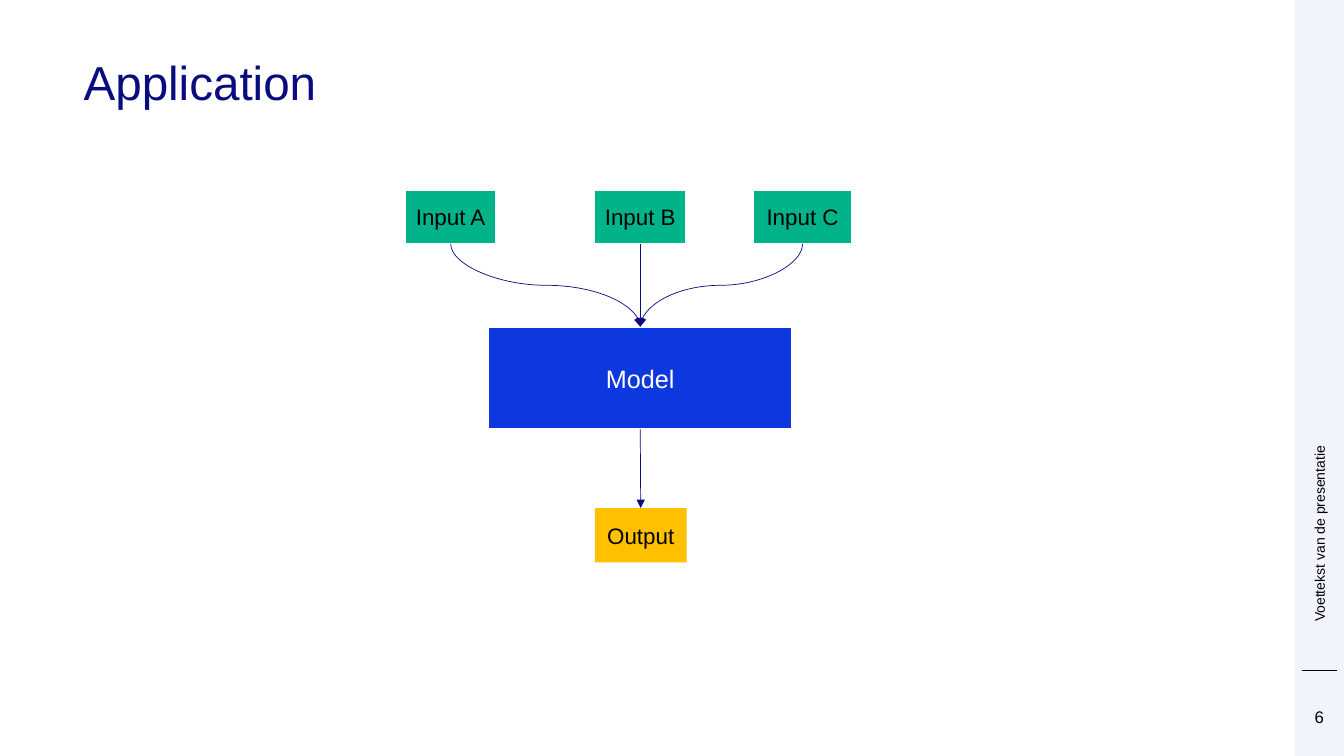
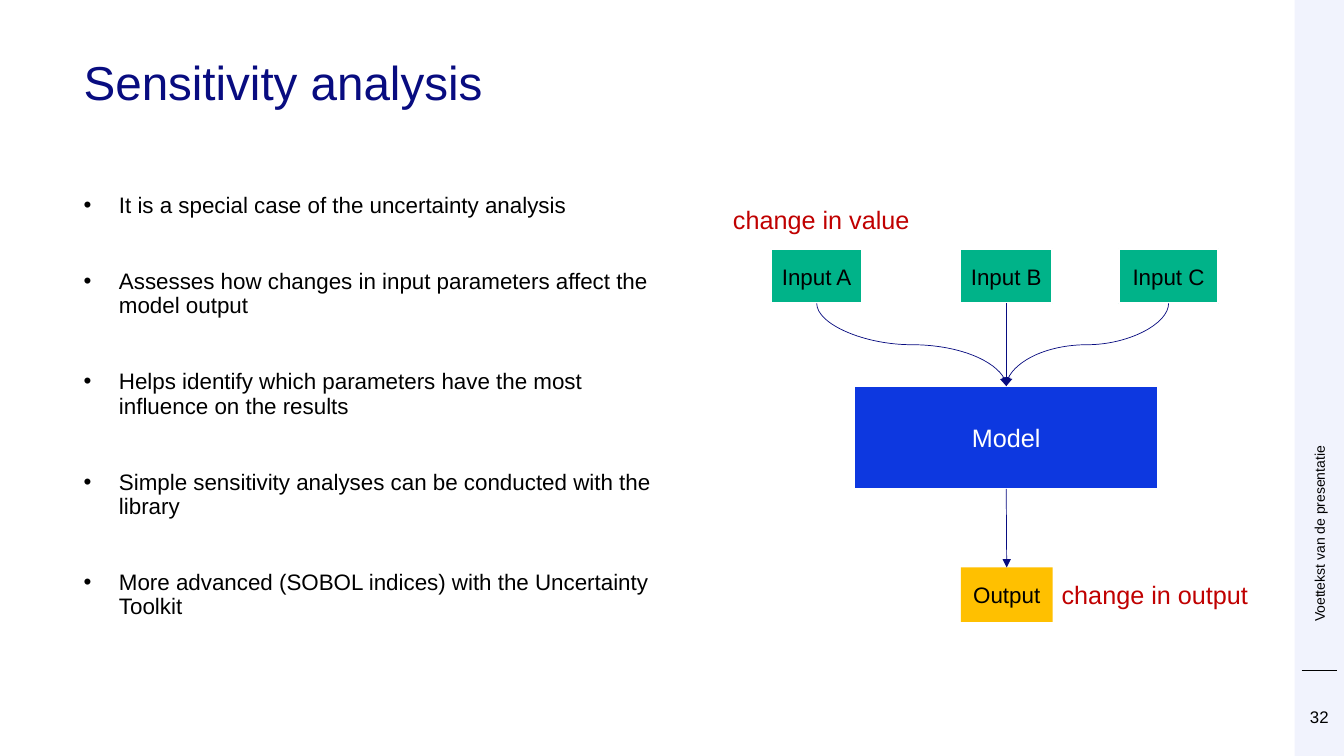
"""Build two slides on a model, its inputs and its sensitivity."""
from dataclasses import dataclass

from lxml import etree
from pptx import Presentation
from pptx.dml.color import RGBColor
from pptx.enum import shapes, text
from pptx.oxml import ns
from pptx.util import Inches, Pt


@dataclass(frozen=True)
class Theme:
    """Colours, font and type sizes of the deck."""
    font: str = "Arial"
    navy: str = "080C80"
    blue: str = "0D38E0"
    green: str = "00B389"
    gold: str = "FFC000"
    red: str = "C00000"
    pale: str = "F1F3FD"
    black: str = "000000"
    white: str = "FFFFFF"
    head: int = 34
    large: int = 18
    body: int = 16
    page: int = 12
    foot: int = 10
    hair: float = 0.5
    edge: float = 1.5


T = Theme()
LEFT, MID = text.PP_ALIGN.LEFT, text.PP_ALIGN.CENTER
TOP, CORE = text.MSO_ANCHOR.TOP, text.MSO_ANCHOR.MIDDLE
FOOT = "Voettekst van de presentatie"
INPUTS = (("Input A", -1.88, 0.91), ("Input B", 0, 0.91), ("Input C", 1.61, 0.99))
POINTS = (
    "It is a special case of the uncertainty analysis",
    "Assesses how changes in input parameters affect the model output",
    "Helps identify which parameters have the most influence on the results",
    "Simple sensitivity analyses can be conducted with the library",
    "More advanced (SOBOL indices) with the Uncertainty Toolkit",
)


def paint(fill, tint):
    """Give a fill one solid colour."""
    fill.solid()
    fill.fore_color.rgb = RGBColor.from_string(tint)


def fit(shape, anchor):
    """Set up a text frame without insets and return it."""
    frame = shape.text_frame
    frame.word_wrap = True
    frame.vertical_anchor = anchor
    frame.margin_left = frame.margin_right = 0
    frame.margin_top = frame.margin_bottom = 0
    return frame


def write(para, words, size, tint, align=LEFT):
    """Add one styled run to a paragraph."""
    para.alignment = align
    run = para.add_run()
    run.text = words
    run.font.name = T.font
    run.font.size = Pt(size)
    run.font.color.rgb = RGBColor.from_string(tint)


def label(slide, spot, words, size, tint, align=LEFT, anchor=TOP):
    """Add a text box with one paragraph and return its frame."""
    frame = fit(slide.shapes.add_textbox(*map(Inches, spot)), anchor)
    write(frame.paragraphs[0], words, size, tint, align)
    return frame


def block(slide, spot, fill, edge=None):
    """Add a filled rectangle, with an edge if a colour is given."""
    shape = slide.shapes.add_shape(shapes.MSO_SHAPE.RECTANGLE, *map(Inches, spot))
    shape.shadow.inherit = False
    paint(shape.fill, fill)
    if edge:
        paint(shape.line.fill, edge)
        shape.line.width = Pt(T.edge)
    else:
        shape.line.fill.background()
    return shape


def node(slide, spot, words, fill, size, tint, edge=None):
    """Add a rectangle with a centred caption."""
    shape = block(slide, spot, fill, edge)
    write(fit(shape, CORE).paragraphs[0], words, size, tint, MID)
    return shape


def line(slide, kind, ends, tint):
    """Add a thin connector without shadow."""
    link = slide.shapes.add_connector(kind, *map(Inches, ends))
    paint(link.line.fill, tint)
    link.line.width = Pt(T.hair)
    etree.SubElement(link._element.spPr, ns.qn("a:effectLst"))
    return link


def bend(link, start, end):
    """Turn a curved connector so that it leaves and arrives upright."""
    x1, x2 = (box.left + box.width // 2 for box in (start, end))
    y1, y2 = start.top + start.height, end.top
    link.width, link.height = y2 - y1, abs(x2 - x1)
    link.left = (x1 + x2 - link.width) // 2
    link.top = (y1 + y2 - link.height) // 2
    right = x2 > x1
    form = link._element.spPr.find(ns.qn("a:xfrm"))
    form.set("rot", str((270 if right else 90) * 60000))
    form.set("flipH", "1" if right else "0")
    form.set("flipV", "0")


def arrow(slide, start, end, curve=False):
    """Join the bottom of one box to the top of another."""
    kinds = shapes.MSO_CONNECTOR
    link = line(slide, kinds.CURVE if curve else kinds.STRAIGHT, (0, 0, 1, 1), T.navy)
    link.begin_connect(start, 2)
    link.end_connect(end, 0)
    if curve:
        bend(link, start, end)
    tail = etree.SubElement(link.line._get_or_add_ln(), ns.qn("a:tailEnd"))
    tail.set("type", "triangle")


def chart(slide, mid, top):
    """Draw inputs, model and output around a vertical axis."""
    model = node(slide, (mid - 1.51, top + 1.36, 3.02, 1.02), "Model",
                 T.blue, T.large, T.white, T.white)
    for name, shift, wide in INPUTS:
        box = node(slide, (mid + shift - wide / 2, top, wide, 0.54), name,
                   T.green, T.body, T.black, T.white)
        arrow(slide, box, model, curve=shift != 0)
    out = node(slide, (mid - 0.45, top + 3.16, 0.91, 0.54), "Output",
               T.gold, T.body, T.black)
    arrow(slide, model, out)


def bullets(slide, spot, items):
    """Add a bulleted list with wide gaps."""
    frame = fit(slide.shapes.add_textbox(*map(Inches, spot)), TOP)
    for rank, item in enumerate(items):
        para = frame.add_paragraph() if rank else frame.paragraphs[0]
        para.line_spacing = 0.9
        para.space_before = Pt(37 if rank else 0)
        write(para, item, T.body, T.black)
        props = para._p.get_or_add_pPr()
        props.set("marL", str(Inches(0.35)))
        props.set("indent", str(-Inches(0.35)))
        etree.SubElement(props, ns.qn("a:buFont")).set("typeface", T.font)
        etree.SubElement(props, ns.qn("a:buChar")).set("char", "•")


def page(deck, title, count):
    """Add a slide with title, side band, footer and number."""
    slide = deck.slides.add_slide(deck.slide_layouts[6])
    paint(slide.background.fill, T.white)
    block(slide, (12.84, 0, 0.49, 7.5), T.pale)
    line(slide, shapes.MSO_CONNECTOR.STRAIGHT, (12.91, 6.65, 13.26, 6.65), T.black)
    head = label(slide, (0.83, 0.59, 11.5, 1.02), title, T.head, T.navy)
    head.paragraphs[0].line_spacing = 0.9
    foot = label(slide, (13, 0.59, 0.17, 5.58), FOOT, T.foot, T.black, anchor=CORE)
    foot._txBody.bodyPr.set("vert", "vert270")
    label(slide, (12.84, 7.01, 0.49, 0.2), str(count), T.page, T.black, MID)
    return slide


def main():
    """Build and save the deck."""
    deck = Presentation()
    deck.slide_width, deck.slide_height = Inches(13.33), Inches(7.5)

    chart(page(deck, "Application", 6), 6.35, 1.88)

    slide = page(deck, "Sensitivity analysis", 32)
    bullets(slide, (0.83, 1.93, 5.75, 4.72), POINTS)
    chart(slide, 9.98, 2.47)
    label(slide, (7.27, 2.03, 2, 0.3), "change in value", T.large, T.red)
    label(slide, (10.53, 5.75, 2, 0.3), "change in output", T.large, T.red)

    deck.save("out.pptx")


if __name__ == "__main__":
    main()
